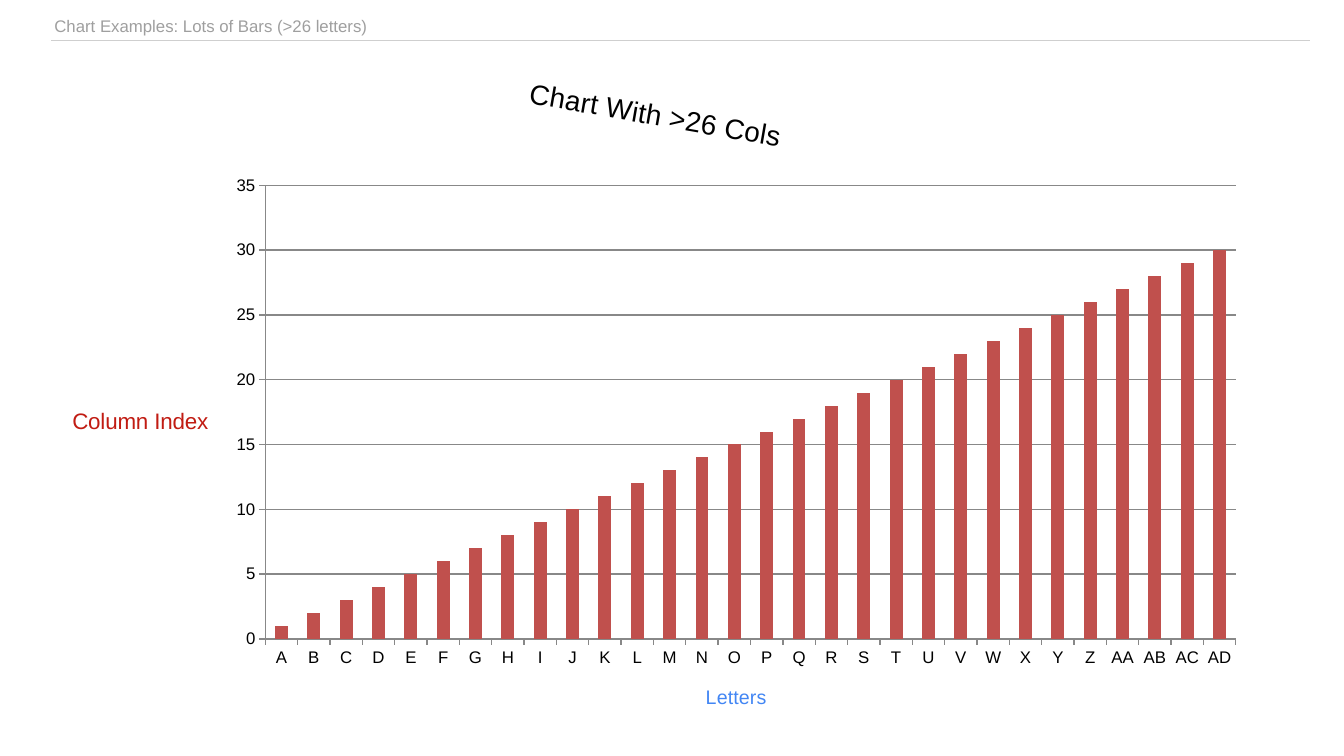
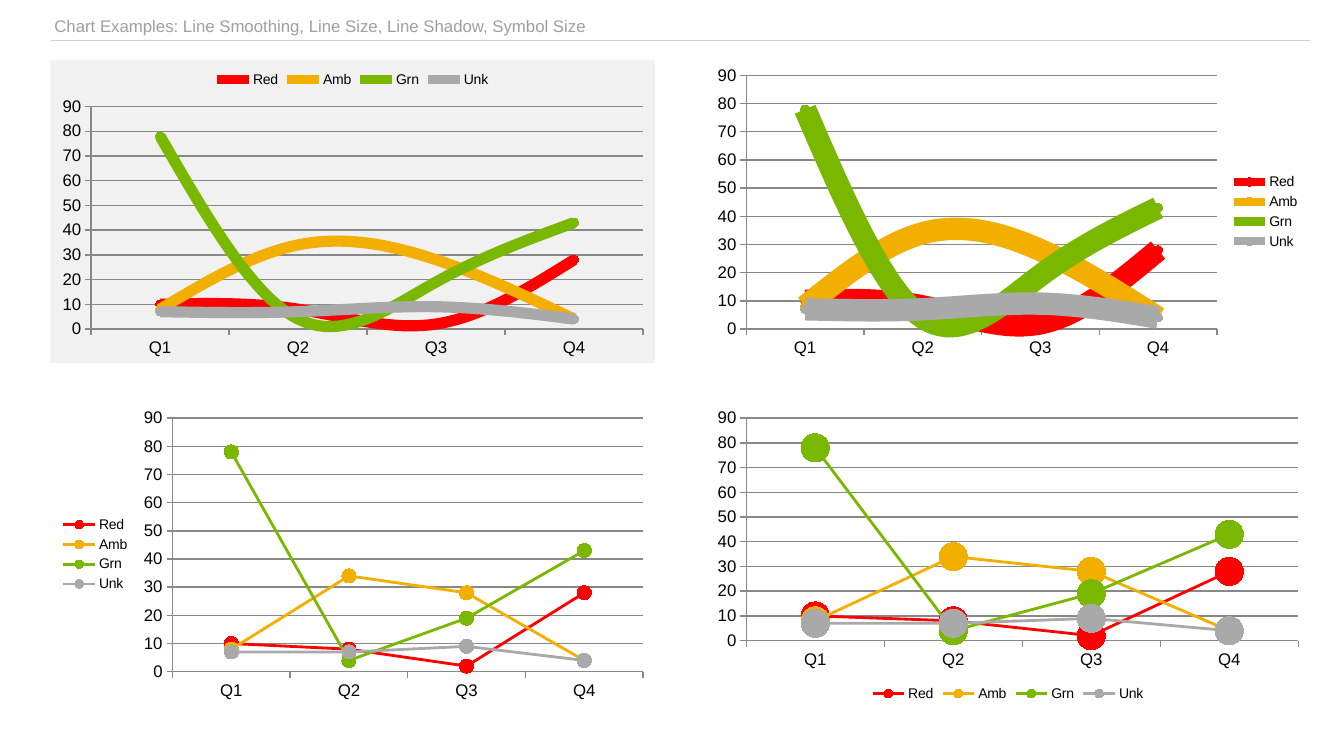
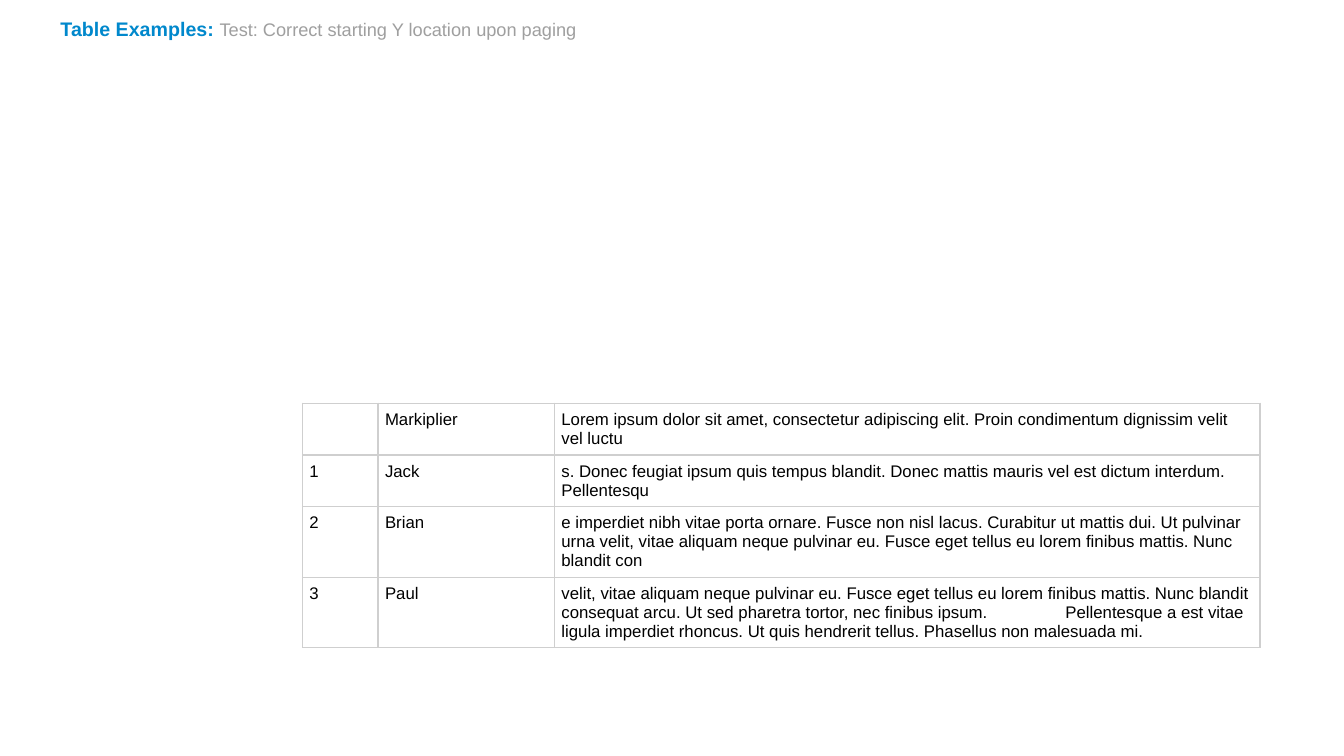
from lxml.etree import SubElement
from pptx import Presentation
from pptx.chart.data import CategoryChartData
from pptx.dml.color import RGBColor
from pptx.enum.chart import (
    XL_CHART_TYPE, XL_LEGEND_POSITION, XL_MARKER_STYLE, XL_TICK_LABEL_POSITION, XL_TICK_MARK)
from pptx.enum.shapes import MSO_SHAPE
from pptx.enum.text import MSO_ANCHOR, MSO_AUTO_SIZE, PP_ALIGN
from pptx.oxml import parse_xml
from pptx.oxml.ns import nsdecls, qn
from pptx.util import Inches, Pt

COLUMN = XL_CHART_TYPE.COLUMN_CLUSTERED
LINE = XL_CHART_TYPE.LINE_MARKERS
CIRCLE = XL_MARKER_STYLE.CIRCLE
LOW = XL_TICK_LABEL_POSITION.LOW
OUT = XL_TICK_MARK.OUTSIDE
TOP, RIGHT = XL_LEGEND_POSITION.TOP, XL_LEGEND_POSITION.RIGHT
LEFT, BOTTOM = XL_LEGEND_POSITION.LEFT, XL_LEGEND_POSITION.BOTTOM
MIDDLE = MSO_ANCHOR.MIDDLE
FIXED = MSO_AUTO_SIZE.NONE
START = PP_ALIGN.LEFT

FONT = "Arial"
BLACK = RGBColor(0x00, 0x00, 0x00)
GREY = RGBColor(0x9F, 0x9F, 0x9F)
RULE = RGBColor(0xCF, 0xCF, 0xCF)
AXIS = RGBColor(0x88, 0x88, 0x88)
PANEL = RGBColor(0xF1, 0xF1, 0xF1)
BLUE = RGBColor(0x00, 0x88, 0xCC)
SKY = RGBColor(0x42, 0x86, 0xF4)
CRIMSON = RGBColor(0xC1, 0x1C, 0x13)
BRICK = RGBColor(0xC0, 0x50, 0x4D)
RED = RGBColor(0xFF, 0x00, 0x00)
AMBER = RGBColor(0xF2, 0xAF, 0x00)
GREEN = RGBColor(0x7A, 0xB8, 0x00)
ASH = RGBColor(0xA9, 0xA9, 0xA9)

prs = Presentation()
prs.slide_width, prs.slide_height = Inches(40 / 3), Inches(7.5)
blank = prs.slide_layouts.get_by_name("Blank")
titled = prs.slide_layouts.get_by_name("Title Only")


def add_table(slide, left, top, widths, heights, cells, pad, color, sides):
    """Add a plain table with grey rules on the given cell sides."""
    table = slide.shapes.add_table(
        len(heights), len(widths), Inches(left), Inches(top),
        Inches(sum(widths)), Inches(sum(heights))).table
    table.first_row = table.horz_banding = False
    for col, width in zip(table.columns, widths):
        col.width = Inches(width)
    for row, height, texts in zip(table.rows, heights, cells):
        row.height = Inches(height)
        for cell, text in zip(row.cells, texts):
            cell.text = text
            cell.margin_left = cell.margin_right = Inches(pad)
            cell.margin_top = cell.margin_bottom = Inches(pad)
            cell.fill.background()
            para = cell.text_frame.paragraphs[0]
            if "\t" in text:
                tabs = SubElement(para._p.get_or_add_pPr(), qn("a:tabLst"))
                SubElement(tabs, qn("a:tab"), pos=str(Inches(5)), algn="l")
            para.font.name, para.font.size = FONT, Pt(12)
            para.font.color.rgb = color
            for i, side in enumerate(sides):
                cell._tc.tcPr.insert(i, parse_xml(
                    f'<a:ln{side} {nsdecls("a")} w="{Pt(1)}"><a:solidFill>'
                    f'<a:srgbClr val="{RULE}"/></a:solidFill></a:ln{side}>'))


def add_chart(slide, kind, box, names, rows):
    """Add a chart with the shared fonts, axes and grid."""
    data = CategoryChartData()
    data.categories = names
    for name, vals in rows:
        data.add_series(name, vals)
    chart = slide.shapes.add_chart(kind, *map(Inches, box), data).chart
    chart.font.name, chart.font.size = FONT, Pt(10)
    chart.font.color.rgb = BLACK
    chart.has_title = chart.has_legend = False
    chart.plots[0].vary_by_categories = False
    chart.value_axis.has_major_gridlines = True
    chart.category_axis.tick_label_position = LOW
    for axis in (chart.category_axis, chart.value_axis):
        axis.major_tick_mark = OUT
        font = axis.tick_labels.font
        font.name, font.size = FONT, Pt(12)
        font.color.rgb = BLACK
    for part in (chart.category_axis, chart.value_axis, chart.value_axis.major_gridlines):
        part.format.line.color.rgb, part.format.line.width = AXIS, Pt(1)
    return chart


# Chart slides with their ruled heading
bars, lines = [prs.slides.add_slide(blank) for _ in range(2)]
for slide, text in (
        (bars, "Lots of Bars (>26 letters)"),
        (lines, "Line Smoothing, Line Size, Line Shadow, Symbol Size")):
    add_table(slide, 0.5, 0.13, [12.5], [0.27], [["Chart Examples: " + text]], 0.04, GREY, "B")

# Slide 1: many columns
names = list("ABCDEFGHIJKLMNOPQRSTUVWXYZ") + ["A" + char for char in "ABCD"]
chart = add_chart(bars, COLUMN, (0.5, 0.5, 12, 6.75), names,
                  [("Series 1", range(1, len(names) + 1))])
plot = chart.plots[0]
plot.gap_width = 150
fill = plot.series[0].format.fill
fill.solid()
fill.fore_color.rgb = BRICK

# Chart and axis titles, with their turn in degrees
chart.has_title = True
for title, text, size, color, turn in (
        (chart.chart_title, "Chart With >26 Cols", 20, BLACK, 10),
        (chart.category_axis.axis_title, "Letters", 14, SKY, 0),
        (chart.value_axis.axis_title, "Column Index", 16, CRIMSON, 0)):
    frame = title.text_frame
    frame.text = text
    font = frame.paragraphs[0].font
    font.name, font.size, font.bold = FONT, Pt(size), False
    font.color.rgb = color
    body = frame._txBody.bodyPr
    body.set("rot", str(turn * 60000))
    body.set("vert", "horz")

# Slide 2: four line charts in a grid
panel = lines.shapes.add_shape(MSO_SHAPE.RECTANGLE, Inches(0.5), Inches(0.6), Inches(6), Inches(3))
panel.shadow.inherit = False
panel.fill.solid()
panel.fill.fore_color.rgb = PANEL
panel.line.fill.background()

rows = [("Red", (10, 8, 2, 28)), ("Amb", (8, 34, 28, 4)),
        ("Grn", (78, 4, 19, 43)), ("Unk", (7, 7, 9, 4))]
looks = [(TOP, 8, 6, True), (RIGHT, 16, 6, True),
         (LEFT, 2, 10, False), (BOTTOM, 2, 20, False)]
for i, (place, width, size, smooth) in enumerate(looks):
    box = (0.5 + i % 2 * 6.5, 0.6 + i // 2 * 3.4, 6, 3)
    chart = add_chart(lines, LINE, box, ["Q1", "Q2", "Q3", "Q4"], rows)
    chart.has_legend = True
    chart.legend.position = place
    chart.legend.include_in_layout = False
    for series, color in zip(chart.plots[0].series, (RED, AMBER, GREEN, ASH)):
        series.smooth = smooth
        series.format.line.color.rgb, series.format.line.width = color, Pt(width)
        mark = series.marker
        mark.style, mark.size = CIRCLE, size
        mark.format.fill.solid()
        mark.format.fill.fore_color.rgb = color
        mark.format.line.color.rgb = color

# Slide 3: title
slide = prs.slides.add_slide(titled)
title = slide.shapes.title
title.left, title.top = Inches(0.5), Inches(0.13)
title.width, title.height = Inches(12), Inches(0.3)
frame = title.text_frame
frame.auto_size, frame.vertical_anchor = FIXED, MIDDLE
para = frame.paragraphs[0]
para.alignment = START
for text, size, color, bold in (
        ("Table Examples: ", 14, BLUE, True),
        ("Test: Correct starting Y location upon paging", 13, GREY, False)):
    run = para.add_run()
    run.text = text
    run.font.name, run.font.size, run.font.bold = FONT, Pt(size), bold
    run.font.color.rgb = color

# Slide 3: table low on the page
cells = [
    ("", "Markiplier", "Lorem ipsum dolor sit amet, consectetur adipiscing elit. "
     "Proin condimentum dignissim velit vel luctu"),
    ("1", "Jack", "s. Donec feugiat ipsum quis tempus blandit. "
     "Donec mattis mauris vel est dictum interdum. Pellentesqu"),
    ("2", "Brian", "e imperdiet nibh vitae porta ornare. Fusce non nisl lacus. "
     "Curabitur ut mattis dui. Ut pulvinar urna velit, vitae aliquam neque pulvinar eu. "
     "Fusce eget tellus eu lorem finibus mattis. Nunc blandit con"),
    ("3", "Paul", "velit, vitae aliquam neque pulvinar eu. "
     "Fusce eget tellus eu lorem finibus mattis. Nunc blandit consequat arcu. "
     "Ut sed pharetra tortor, nec finibus ipsum. \tPellentesque a est vitae ligula "
     "imperdiet rhoncus. Ut quis hendrerit tellus. Phasellus non malesuada mi."),
]
add_table(slide, 3, 4, [0.75, 1.75, 7], [0.51, 0.51, 0.7, 0.7], cells, 0.07, BLACK, "LRTB")

prs.save("out.pptx")
